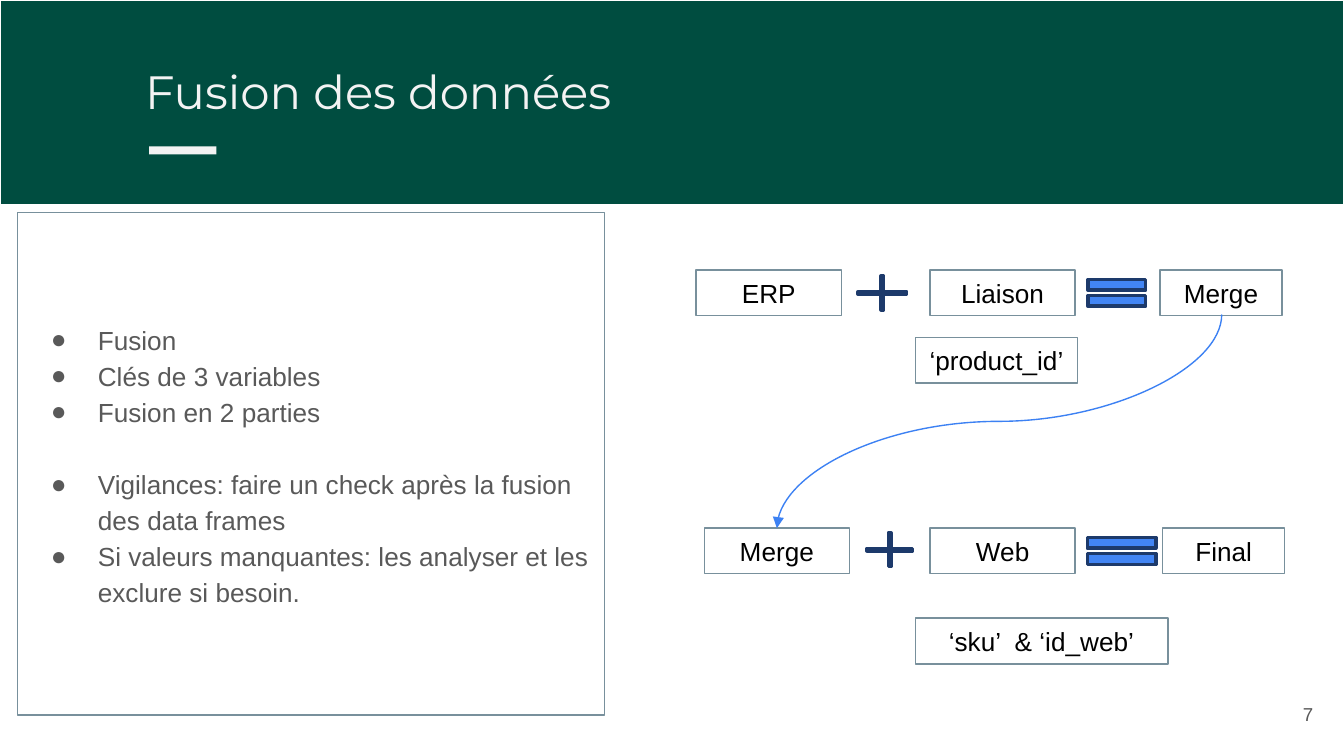
from lxml import etree
from pptx import Presentation
from pptx.dml.color import RGBColor
from pptx.enum import shapes, text
from pptx.oxml.ns import qn
from pptx.util import Inches, Pt

KIND = shapes.MSO_SHAPE
prs = Presentation()
prs.slide_width = Inches(10)
prs.slide_height = Inches(10 * 9 / 16)
s = prs.slides.add_slide(prs.slide_layouts[5])


def add_shape(kind, box, fill=None, line=None, width=0.75):
    sp = s.shapes.add_shape(kind, *[Inches(v) for v in box])
    sp.shadow.inherit = False
    for fmt, color in ((sp.fill, fill), (sp.line.fill, line)):
        if color:
            fmt.solid()
            fmt.fore_color.rgb = RGBColor.from_string(color)
        else:
            fmt.background()
    if line:
        sp.line.width = Pt(width)
    return sp


def format_text(sp, size, color, align, anchor, inset=(0.1, 0.1), font="Arial"):
    tf = sp.text_frame
    tf.word_wrap = True
    tf.auto_size = text.MSO_AUTO_SIZE.NONE
    tf.vertical_anchor = anchor
    tf.margin_left = tf.margin_right = Inches(inset[0])
    tf.margin_top = tf.margin_bottom = Inches(inset[1])
    for p in tf.paragraphs:
        p.alignment = align
        for r in p.runs:
            r.font.size, r.font.name = Pt(size), font
            r.font.color.rgb = RGBColor.from_string(color)


LEFT, CENTER, RIGHT = text.PP_ALIGN.LEFT, text.PP_ALIGN.CENTER, text.PP_ALIGN.RIGHT
TOP, MIDDLE = text.MSO_ANCHOR.TOP, text.MSO_ANCHOR.MIDDLE

# Header band, title and accent bar
band = add_shape(KIND.RECTANGLE, (0, 0, 10, 1.52), "004D40", "FFFFFF")
title = s.shapes.title
title._element.addprevious(band._element)  # band goes behind the title
title.left, title.top = Inches(0.98), Inches(0.37)
title.width, title.height = Inches(9.32), Inches(0.63)
title.text_frame.text = "Fusion des données"
format_text(title, 25, "F3F3F3", LEFT, TOP, font="Montserrat")
add_shape(KIND.RECTANGLE, (1.11, 1.09, 0.5, 0.06), "F3F3F3")

# Bulleted panel
panel = add_shape(KIND.RECTANGLE, (0.13, 1.58, 4.37, 3.74), line="78909C")
panel.text_frame.text = "\n".join([
    "Fusion",
    "Clés de 3 variables",
    "Fusion en 2 parties",
    "Vigilances: faire un check après la fusion des data frames",
    "Si valeurs manquantes: les analyser et les exclure si besoin.",
])
for p in panel.text_frame.paragraphs:
    pPr = p._p.get_or_add_pPr()
    pPr.set("marL", str(Inches(0.5)))
    pPr.set("indent", str(Inches(-0.35)))
    color = etree.SubElement(pPr, qn("a:buClr"))
    etree.SubElement(color, qn("a:srgbClr"), val="595959")
    etree.SubElement(pPr, qn("a:buSzPts"), val="1400")
    etree.SubElement(pPr, qn("a:buFont"), typeface="Arial")
    etree.SubElement(pPr, qn("a:buChar"), char="●")
    p.line_spacing = 1.15
panel.text_frame.paragraphs[3].space_before = Pt(19.5)
format_text(panel, 14, "595959", LEFT, MIDDLE)

# Page number
number = s.shapes.add_textbox(Inches(9.27), Inches(5.1), Inches(0.6), Inches(0.43))
number.text_frame.text = "7"
format_text(number, 10, "595959", RIGHT, MIDDLE)

# Plus and equals signs
for kind, x, y, w in [
    (KIND.MATH_PLUS, 6.32, 2.01, 0.49),
    (KIND.MATH_PLUS, 6.39, 3.92, 0.46),
    (KIND.MATH_EQUAL, 8.02, 2.01, 0.58),
    (KIND.MATH_EQUAL, 8, 3.93, 0.69),
]:
    sign = add_shape(kind, (x, y, w, 0.34), "4285F4", "1D3A6B", 2)
    if kind == KIND.MATH_PLUS:
        sign.adjustments[0] = 0.05

# Tables being merged and their keys
for label, x, y, w in [
    ("ERP", 5.18, 2.01, 1.08),
    ("Liaison", 6.92, 2.01, 1.08),
    ("Merge", 8.63, 2.01, 0.91),
    ("Merge", 5.24, 3.93, 1.08),
    ("Web", 6.92, 3.93, 1.08),
    ("Final", 8.65, 3.93, 0.91),
    ("‘product_id’", 6.81, 2.51, 1.21),
    ("‘sku’  & ‘id_web’", 6.81, 4.6, 1.88),
]:
    sp = add_shape(KIND.RECTANGLE, (x, y, w, 0.34), line="78909C")
    sp.text_frame.text = label
    format_text(sp, 14, "000000", CENTER, MIDDLE, inset=(0.1, 0.05))

# Curved arrow from the first merge to the second, turned to leave downwards
arrow = s.shapes.add_connector(
    shapes.MSO_CONNECTOR.CURVE, Inches(6.64), Inches(1.48), Inches(8.23), Inches(4.79))
arrow.rotation = 90
arrow.line.color.rgb = RGBColor.from_string("3C81F3")
arrow.line.width = Pt(0.75)
etree.SubElement(arrow.line._get_or_add_ln(), qn("a:tailEnd"), type="triangle")
etree.SubElement(arrow._element.spPr, qn("a:effectLst"))

prs.save("out.pptx")
